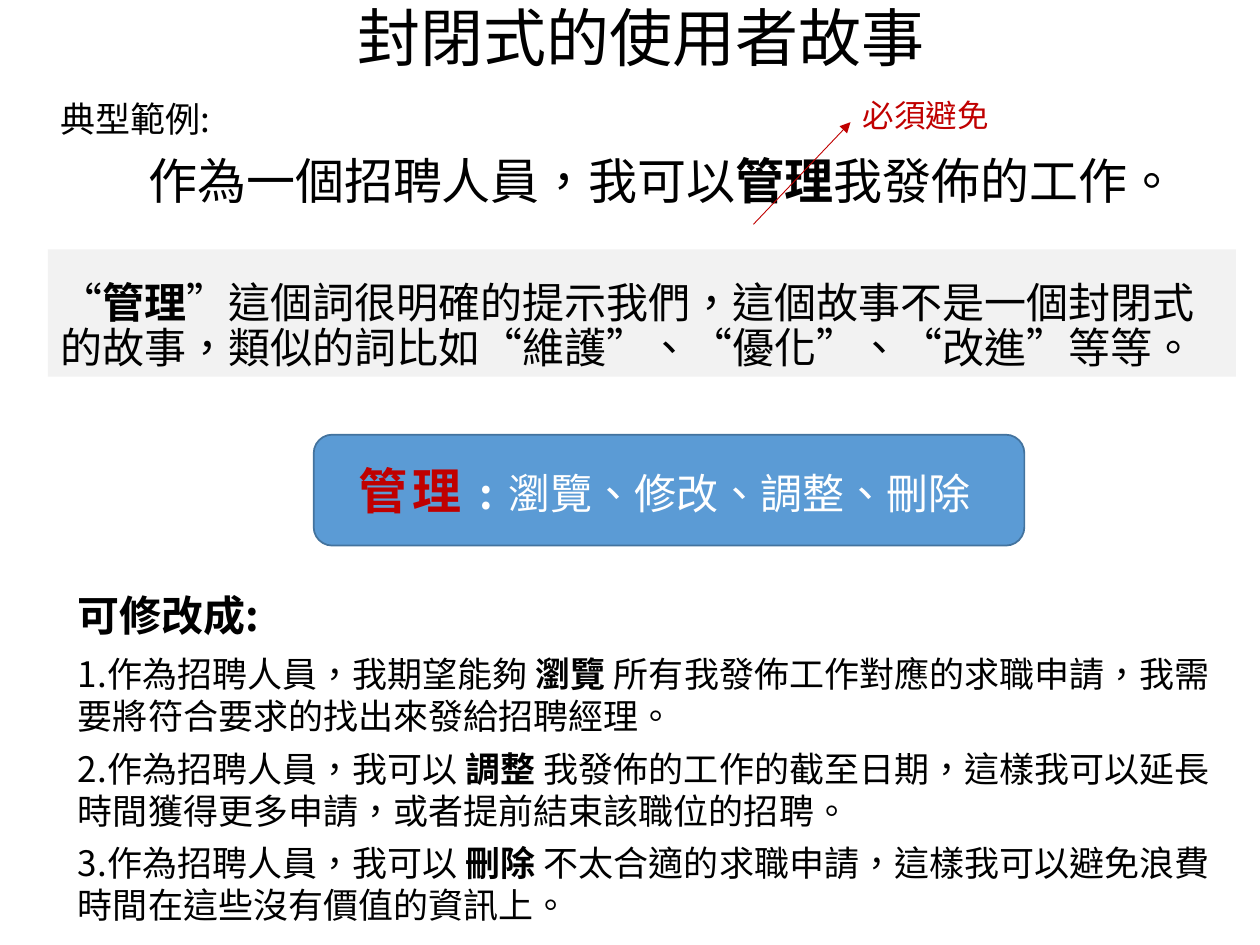
"""Slide on closed user stories, with one bad story and its rewrites."""
from lxml import etree
from pptx import Presentation
from pptx import util as u
from pptx.dml.color import RGBColor
from pptx.enum import shapes, text
from pptx.oxml import ns

FONT = "Noto Sans CJK SC"
HUES = {"black": "000000", "white": "FFFFFF", "red": "C00000",
        "grey": "F2F2F2", "blue": "5B9BD5", "edge": "43739E"}


def tint(name):
    return RGBColor.from_string(HUES[name])


def write(para, runs, size, hue="black"):
    for words, bold in runs:
        run = para.add_run()
        run.text = words
        font = run.font
        font.name, font.size, font.bold = FONT, u.Pt(size), bold
        font.color.rgb = tint(hue)
        props = run._r.get_or_add_rPr()
        props.set("lang", "zh-TW")
        east = etree.SubElement(props, ns.qn("a:ea"))
        east.set("typeface", FONT)


deck = Presentation()
deck.slide_width, deck.slide_height = u.Inches(10), u.Inches(7.5)
slide = deck.slides.add_slide(deck.slide_layouts[6])
items = slide.shapes

band = items.add_shape(shapes.MSO_SHAPE.RECTANGLE, u.Inches(0.38), u.Inches(1.98),
                       u.Inches(9.43), u.Inches(1.01))
band.shadow.inherit = False
band.fill.solid()
band.fill.fore_color.rgb = tint("grey")
band.line.fill.background()

title = items.add_textbox(u.Inches(0.78), u.Inches(-0.11), u.Inches(8.62), u.Inches(0.87))
frame = title.text_frame
frame.word_wrap = True
frame.vertical_anchor = text.MSO_ANCHOR.MIDDLE
head = frame.paragraphs[0]
head.alignment = text.PP_ALIGN.CENTER
head.line_spacing = 0.9
write(head, [("封閉式的使用者故事", False)], 36)

body = items.add_textbox(u.Inches(0.38), u.Inches(0.76), u.Inches(9.43), u.Inches(2.87))
frame = body.text_frame
frame.word_wrap = True
rows = [
    (20, 0, 0, [("典型範例:", False)]),
    (28, 10, 0.7, [("作為一個招聘人員，我可以", False), ("管理", True),
                   ("我發佈的工作。", False)]),
    (24, 41, 0, [("“", False), ("管理", True),
                 ("”這個詞很明確的提示我們，這個故事不是一個封閉式的故事，"
                  "類似的詞比如“維護”、“優化”、“改進”等等。", False)]),
]
for n, (size, gap, left, runs) in enumerate(rows):
    para = frame.add_paragraph() if n else frame.paragraphs[0]
    para.line_spacing = 0.9
    para.space_before = u.Pt(gap)
    para._p.get_or_add_pPr().set("marL", str(u.Inches(left)))
    write(para, runs, size)

fixes = items.add_textbox(u.Inches(0.52), u.Inches(5.13), u.Inches(9.28), u.Inches(2.69))
frame = fixes.text_frame
frame.word_wrap = True
tales = [
    ("1.作為招聘人員，我期望能夠 ", "瀏覽 ",
     "所有我發佈工作對應的求職申請，我需要將符合要求的找出來發給招聘經理。"),
    ("2.作為招聘人員，我可以 ", "調整 ",
     "我發佈的工作的截至日期，這樣我可以延長時間獲得更多申請，或者提前結束該職位的招聘。"),
    ("3.作為招聘人員，我可以 ", "刪除 ",
     "不太合適的求職申請，這樣我可以避免浪費時間在這些沒有價值的資訊上。"),
]
for n, tale in enumerate(tales):
    para = frame.add_paragraph() if n else frame.paragraphs[0]
    para.space_before = u.Pt(6 if n else 0)
    write(para, zip(tale, (False, True, False)), 20)

labels = [
    ("可修改成:", 0.52, 4.63, 1.63, 0.5, 24, True, "black"),
    ("必須避免", 6.75, 0.71, 1.21, 0.4, 18, False, "red"),
]
for words, left, top, width, height, size, bold, hue in labels:
    box = items.add_textbox(u.Inches(left), u.Inches(top), u.Inches(width), u.Inches(height))
    box.text_frame.word_wrap = False
    box.text_frame.auto_size = text.MSO_AUTO_SIZE.SHAPE_TO_FIT_TEXT
    write(box.text_frame.paragraphs[0], [(words, bold)], size, hue)

card = items.add_shape(shapes.MSO_SHAPE.ROUNDED_RECTANGLE, u.Inches(2.49), u.Inches(3.45),
                       u.Inches(5.64), u.Inches(0.88))
card.shadow.inherit = False
card.fill.solid()
card.fill.fore_color.rgb = tint("blue")
card.line.color.rgb = tint("edge")
card.line.width = u.Pt(1)
card.text_frame.vertical_anchor = text.MSO_ANCHOR.MIDDLE
para = card.text_frame.paragraphs[0]
para.alignment = text.PP_ALIGN.CENTER
write(para, [("管理", True)], 28, "red")
write(para, [(" : ", True), ("瀏覽、修改、調整、刪除 ", False)], 24, "white")
for run, space in zip(para.runs, (300, 180)):
    run._r.get_or_add_rPr().set("spc", str(space))

arrow = items.add_connector(shapes.MSO_CONNECTOR.STRAIGHT, u.Inches(5.98), u.Inches(1.78),
                            u.Inches(6.75), u.Inches(0.97))
arrow.line.color.rgb = tint("red")
arrow.line.width = u.Pt(0.5)
tip = etree.SubElement(arrow.line._get_or_add_ln(), ns.qn("a:tailEnd"))
tip.set("type", "triangle")
etree.SubElement(arrow._element.spPr, ns.qn("a:effectLst"))

deck.save("out.pptx")
